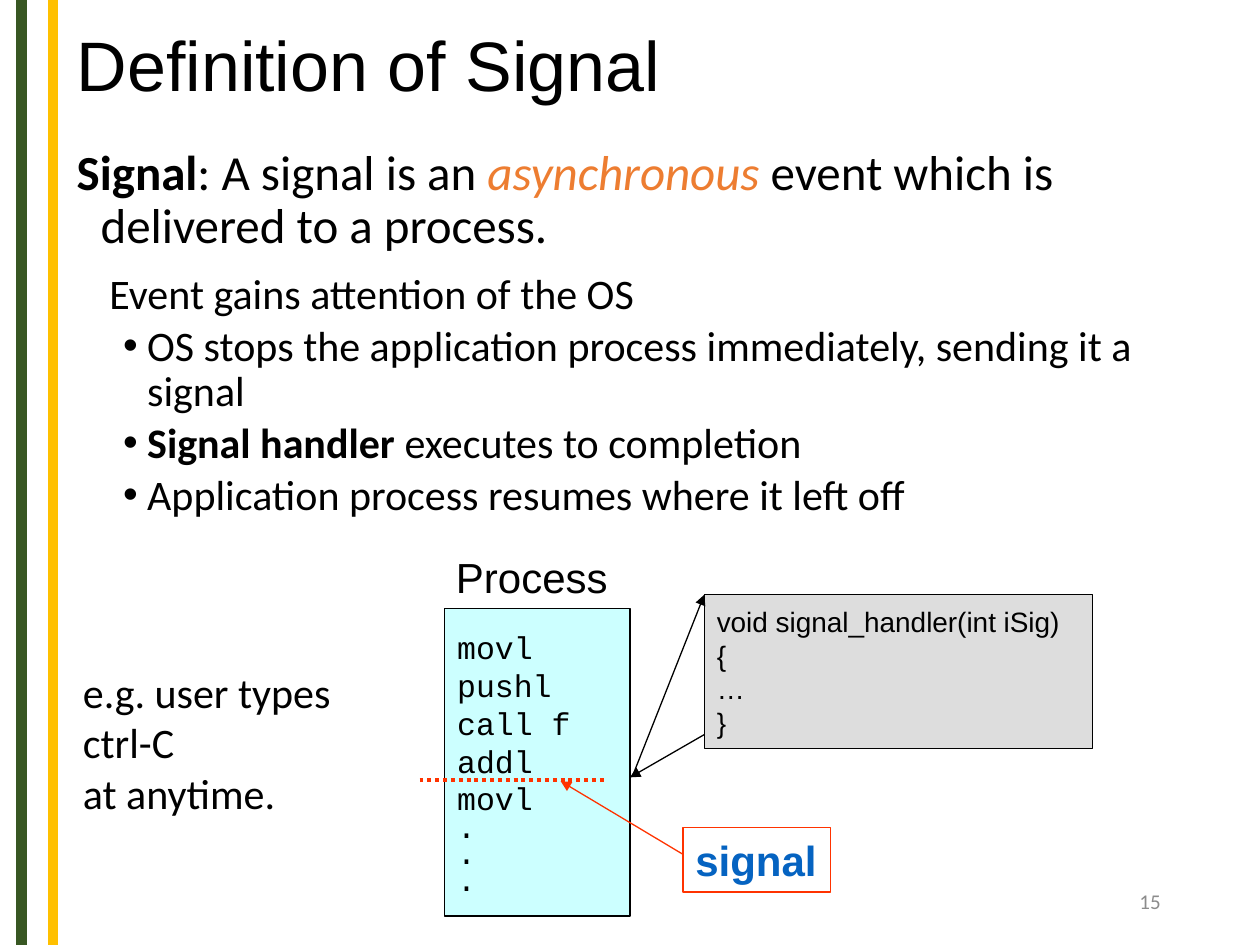
from pptx import Presentation
from pptx.dml.color import RGBColor
from pptx.enum.dml import MSO_LINE
from pptx.enum.shapes import MSO_CONNECTOR, MSO_SHAPE
from pptx.enum.text import MSO_ANCHOR as Anchor, MSO_AUTO_SIZE as AutoSize, PP_ALIGN as Align
from pptx.oxml.ns import qn
from pptx.util import Inches, Pt
from lxml.etree import SubElement

BLACK, RED = "000000", "FF3300"


def rgb(value):
    """Turn a hex string into a colour."""
    return RGBColor.from_string(value)


def add_run(paragraph, text, size, font="Calibri", color=BLACK, bold=False, italic=False):
    """Append one formatted run."""
    run = paragraph.add_run()
    run.text = text
    run.font.size, run.font.name = Pt(size), font
    run.font.bold, run.font.italic = bold, italic
    run.font.color.rgb = rgb(color)


def set_indent(paragraph, left, first=0, bullet=None):
    """Set the left and first-line indents and an optional bullet."""
    properties = paragraph._p.get_or_add_pPr()
    properties.set("marL", str(Inches(left)))
    properties.set("indent", str(Inches(first)))
    if bullet:
        SubElement(properties, qn("a:buFont")).set("typeface", "Arial")
        SubElement(properties, qn("a:buChar")).set("char", bullet)


def next_paragraph(frame, index):
    """Return the first paragraph for index zero, otherwise a new one."""
    return frame.add_paragraph() if index else frame.paragraphs[0]


def write_lines(frame, lines, size, font="Calibri", color=BLACK, bold=False,
                wrap=True, anchor=Anchor.TOP):
    """Write one left-aligned paragraph for each line."""
    frame.word_wrap, frame.vertical_anchor = wrap, anchor
    for index, line in enumerate(lines):
        paragraph = next_paragraph(frame, index)
        paragraph.alignment = Align.LEFT
        if line == ".":
            paragraph.line_spacing = 0.7
        add_run(paragraph, line, size, font, color, bold)


def add_label(slide, box, lines, size, **style):
    """Place a plain text box."""
    frame = slide.shapes.add_textbox(*map(Inches, box)).text_frame
    write_lines(frame, lines, size, **style)
    return frame


def add_box(slide, box, lines, size, fill=None, line=BLACK, **style):
    """Place an outlined rectangle with text."""
    rectangle = slide.shapes.add_shape(MSO_SHAPE.RECTANGLE, *map(Inches, box))
    rectangle.shadow.inherit = False
    if fill:
        rectangle.fill.solid()
        rectangle.fill.fore_color.rgb = rgb(fill)
    else:
        rectangle.fill.background()
    rectangle.line.color.rgb = rgb(line)
    rectangle.line.width = Pt(0.75)
    write_lines(rectangle.text_frame, lines, size, **style)


def add_line(slide, start, end, color, width=0.75, dash=None, arrow=False):
    """Draw a straight line, with an arrowhead at its end if asked."""
    line = slide.shapes.add_connector(
        MSO_CONNECTOR.STRAIGHT, *map(Inches, (*start, *end)))
    line.line.color.rgb = rgb(color)
    line.line.width = Pt(width)
    if dash:
        line.line.dash_style = dash
    if arrow:
        SubElement(line.line._get_or_add_ln(), qn("a:tailEnd")).set("type", "triangle")
    SubElement(line._element.spPr, qn("a:effectLst"))


def add_side_stripes(slide, height):
    """Draw the two vertical stripes on the left edge."""
    for x, color in ((0.17, "385723"), (0.42, "FFC000")):
        add_line(slide, (x, 0), (x, height), color, 6)


def add_title(slide, box, text):
    """Place and format the title."""
    title = slide.shapes.title
    title.left, title.top, title.width, title.height = map(Inches, box)
    frame = title.text_frame
    frame.auto_size = AutoSize.NONE
    write_lines(frame, [text], 40, font="Arial", anchor=Anchor.MIDDLE)
    frame.paragraphs[0].line_spacing = 0.9


def add_definition(slide, box):
    """Write the definition and the steps that follow it."""
    bullet = (0.56, -0.19, "•")
    paragraphs = [
        ((0.19, -0.19), 7.5, 28, [
            ("Signal", {"bold": True}), (": A signal is an ", {}),
            ("asynchronous", {"color": "ED7D31", "italic": True}),
            (" event which is delivered to a process.", {})]),
        ((0.26,), 10.5, 24, [("Event gains attention of the OS", {})]),
        (bullet, 3.8, 24, [
            ("OS stops the application process immediately, sending it a signal", {})]),
        (bullet, 3.8, 24, [
            ("Signal handler", {"bold": True}), (" executes to completion", {})]),
        (bullet, 3.8, 24, [("Application process resumes where it left off", {})]),
    ]
    frame = slide.shapes.add_textbox(*map(Inches, box)).text_frame
    frame.word_wrap = True
    for index, (indent, before, size, runs) in enumerate(paragraphs):
        paragraph = next_paragraph(frame, index)
        paragraph.line_spacing, paragraph.space_before = 0.9, Pt(before)
        set_indent(paragraph, *indent)
        for text, style in runs:
            add_run(paragraph, text, size, **style)


def add_signal_diagram(slide, box):
    """Draw the process, its signal handler and the signal between them."""
    left, top, _, _ = box

    def at(x, y, *size):
        return (left + x, top + y, *size)

    add_box(slide, at(0.2, 0.5, 1.47, 2.44),
            ["movl", "pushl", "call f", "addl", "movl", ".", ".", "."], 18,
            fill="CCFFFF", font="Courier New", anchor=Anchor.MIDDLE)
    add_label(slide, at(0.19, 0, 1.41, 0.5), ["Process"], 24, font="Arial", wrap=False)
    add_box(slide, at(2.26, 0.39, 3.08, 1.22),
            ["void signal_handler(int iSig)", "{", "…", "}"], 16,
            fill="DDDDDD", font="Arial", anchor=Anchor.MIDDLE)
    add_line(slide, at(0, 1.86), at(1.47, 1.86), RED, 2.25, dash=MSO_LINE.ROUND_DOT)
    add_box(slide, at(2.09, 2.24, 1.17, 0.51), ["signal"], 24, line=RED,
            font="Arial", color="0563C1", bold=True, wrap=False)
    for start, end, color in (
            (at(2.09, 2.45), at(1.12, 1.87), RED),
            (at(1.69, 1.83), at(2.26, 0.39), BLACK),
            (at(2.26, 1.5), at(1.67, 1.84), BLACK)):
        add_line(slide, start, end, color, arrow=True)


def add_page_number(slide, box, number):
    """Write the slide number at the lower right."""
    frame = add_label(slide, box, [number], 12, color="8C8C8C", anchor=Anchor.MIDDLE)
    frame.paragraphs[0].alignment = Align.RIGHT


def main():
    """Build and save the slide."""
    deck = Presentation()
    deck.slide_width, deck.slide_height = Inches(10), Inches(7.5)
    slide = deck.slides.add_slide(deck.slide_layouts[5])
    add_side_stripes(slide, 7.5)
    add_title(slide, (0.51, -0.07, 8.83, 1.24), "Definition of Signal")
    add_definition(slide, (0.51, 1.13, 9.25, 2.67))
    add_signal_diagram(slide, (3.33, 4.33, 5.34, 2.94))
    add_label(slide, (0.56, 5.24, 2.26, 1.31),
              ["e.g. user types", "ctrl-C", "at anytime."], 24)
    add_page_number(slide, (7.06, 6.95, 2.25, 0.4), "15")
    deck.save("out.pptx")


if __name__ == "__main__":
    main()
